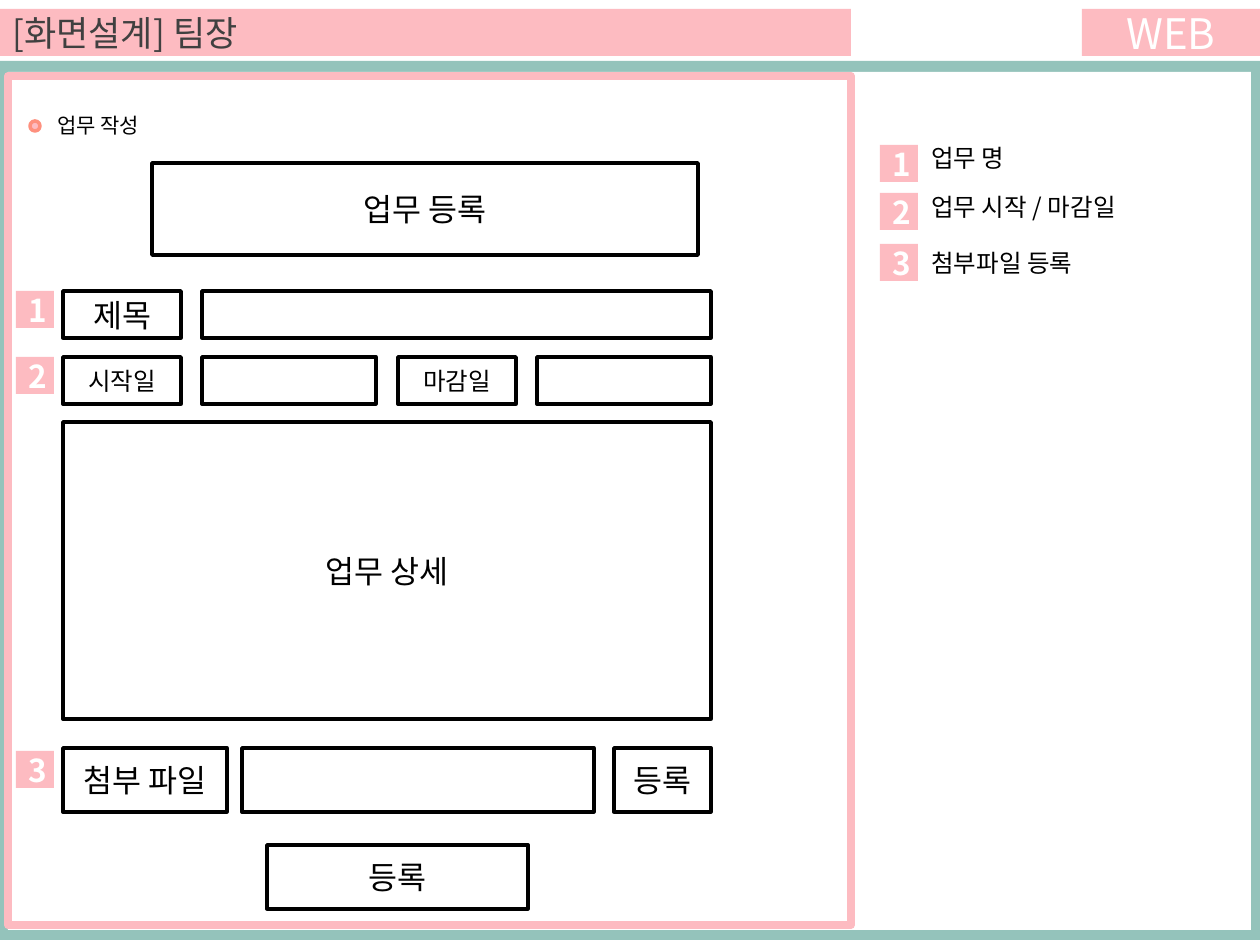
from dataclasses import dataclass

from lxml.etree import SubElement
from pptx import Presentation
from pptx.dml.color import RGBColor as RGB
from pptx.enum.shapes import MSO_SHAPE as Shape
from pptx.enum.text import MSO_ANCHOR as Anchor, MSO_AUTO_SIZE as Auto, PP_ALIGN as Align
from pptx.oxml.ns import qn
from pptx.util import Emu, Pt

SCALE = 914400 / 126


def px(n):
    return Emu(round(n * SCALE))


@dataclass(frozen=True)
class Theme:
    face: str = "Noto Sans CJK KR"
    pink: str = "FDBBC1"
    coral: str = "FE907E"
    teal: str = "94C3BB"
    white: str = "FFFFFF"
    black: str = "000000"
    gray: str = "404040"
    small: int = 12
    note: int = 14
    body: int = 18
    title: int = 20
    large: int = 24


class Page:
    def __init__(self, slide, theme):
        self.slide, self.theme = slide, theme

    def put(self, frame, text, size, color, align=Align.LEFT, bold=False):
        """Set the text and its style in the first paragraph of a frame."""
        para = frame.paragraphs[0]
        para.text, para.alignment = text, align
        font = para.font
        font.size, font.bold, font.name = Pt(size), bold, self.theme.face
        font.color.rgb = RGB.from_string(color)
        # Hangul takes its face from the East Asian font slot
        props = para._p.pPr.find(qn("a:defRPr"))
        SubElement(props, qn("a:ea"), typeface=self.theme.face)

    def block(self, x, y, w, h, fill=None, line=None, width=2, kind=Shape.RECTANGLE):
        shape = self.slide.shapes.add_shape(kind, px(x), px(y), px(w), px(h))
        shape.shadow.inherit = False
        if fill:
            shape.fill.solid()
            shape.fill.fore_color.rgb = RGB.from_string(fill)
        else:
            shape.fill.background()
        if line:
            shape.line.color.rgb = RGB.from_string(line)
            shape.line.width = Pt(width)
        else:
            shape.line.fill.background()
        shape.text_frame.vertical_anchor = Anchor.MIDDLE
        return shape

    def bar(self, x, w, text, size, color, align):
        shape = self.block(x, 9, w, 47, self.theme.pink)
        self.put(shape.text_frame, text, size, color, align)

    def badge(self, x, y, num):
        t = self.theme
        shape = self.block(x, y, 38, 37, t.pink)
        self.put(shape.text_frame, str(num), t.body, t.white, Align.CENTER, True)

    def field(self, x, y, w, h, text="", size=None):
        t = self.theme
        shape = self.block(x, y, w, h, t.white, t.black)
        if text:
            self.put(shape.text_frame, text, size or t.body, t.black, Align.CENTER)

    def label(self, x, y, w, h, text, size):
        box = self.slide.shapes.add_textbox(px(x), px(y), px(w), px(h))
        frame = box.text_frame
        frame.word_wrap, frame.auto_size = True, Auto.SHAPE_TO_FIT_TEXT
        self.put(frame, text, size, self.theme.black)


def main():
    deck = Presentation()
    deck.slide_width, deck.slide_height = px(1260), px(945)
    t = Theme()
    page = Page(deck.slides.add_slide(deck.slide_layouts[6]), t)

    # Frame and header
    page.block(0, 61, 1260, 879, t.teal)
    page.block(8, 72, 1243, 858, t.white)
    page.block(8, 76, 843, 849, line=t.pink, width=4.5)
    page.bar(0, 851, "[화면설계] 팀장", t.title, t.gray, Align.LEFT)
    page.bar(1082, 178, "WEB", t.large, t.white, Align.CENTER)

    # Form
    page.block(30, 121, 10, 10, t.pink, t.coral, kind=Shape.OVAL)
    page.label(40, 106, 486, 38, " 업무 작성", t.small)
    page.field(152, 163, 546, 92, "업무 등록")

    left, mid, right = 63, 202, 711
    tag, date, row = 118, 174, 47
    page.field(left, 291, tag, row, "제목")
    page.field(mid, 291, right - mid, row)
    for x, text in ((left, "시작일"), (398, "마감일")):
        page.field(x, 357, tag, row, text, t.note)
        page.field(x + mid - left, 357, date, row)
    page.field(left, 422, right - left, 297, "업무 상세")
    for x, w, text in ((left, 164, "첨부 파일"), (242, 352, ""), (614, 97, "등록")):
        page.field(x, 748, w, 64, text)
    page.field(267, 845, 261, 64, "등록")

    # Numbered marks and their legend
    marks = (
        (291, 145, 137, "업무 명"),
        (357, 193, 186, "업무 시작 / 마감일"),
        (751, 244, 242, "첨부파일 등록"),
    )
    for num, (spot, key, top, text) in enumerate(marks, 1):
        page.badge(16, spot, num)
        page.badge(880, key, num)
        page.label(919, top, 302, 43, text, t.note)

    deck.save("out.pptx")


if __name__ == "__main__":
    main()
